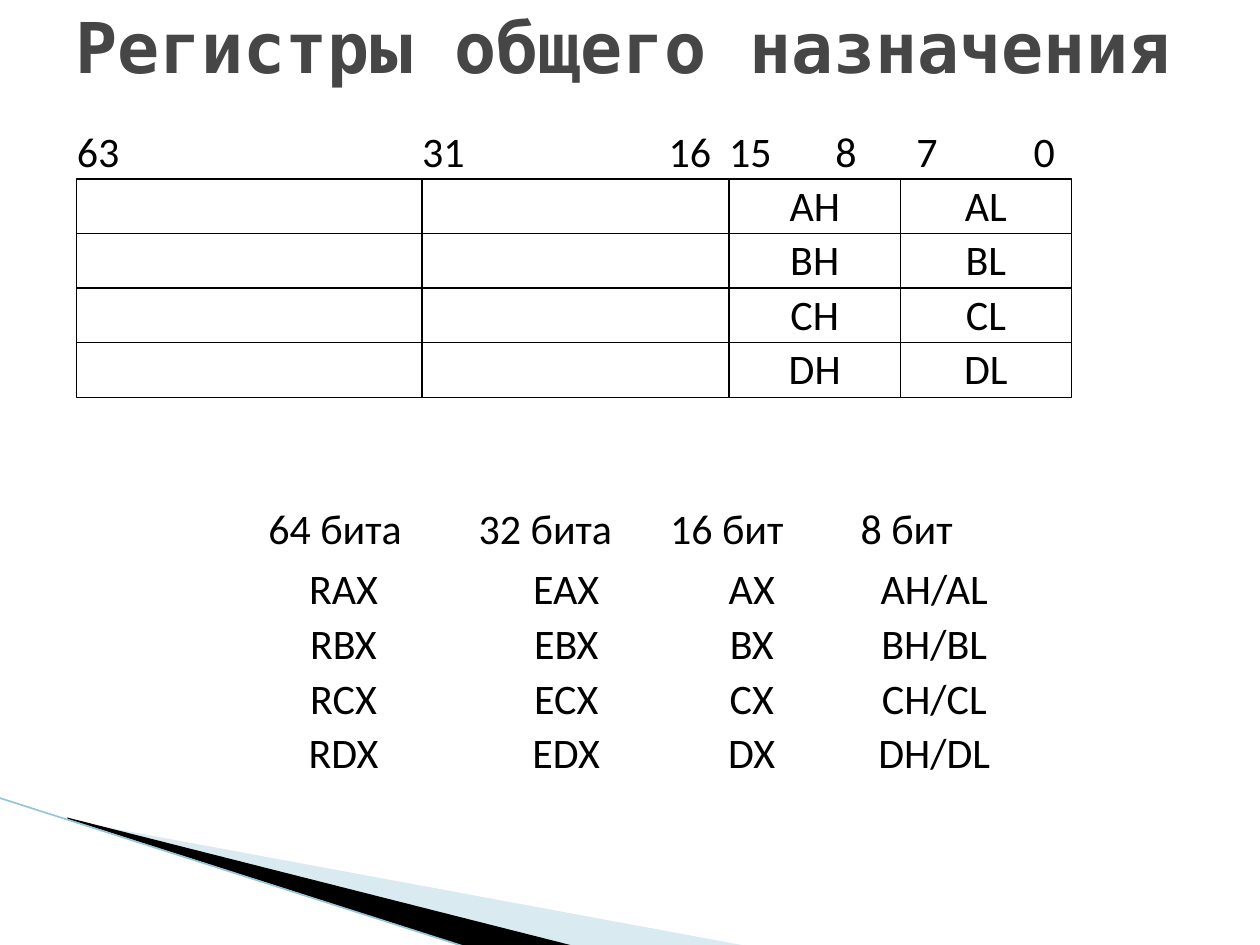
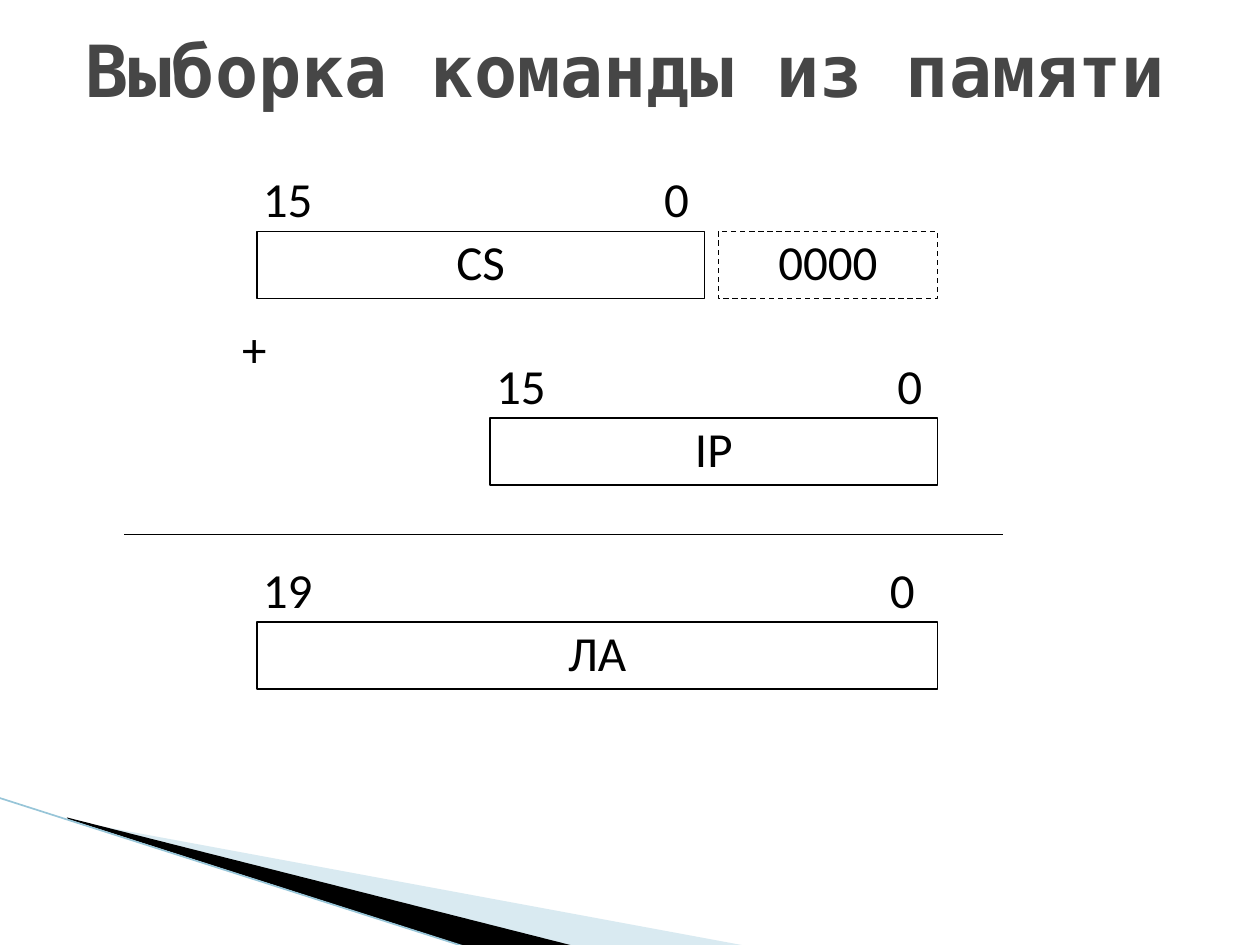
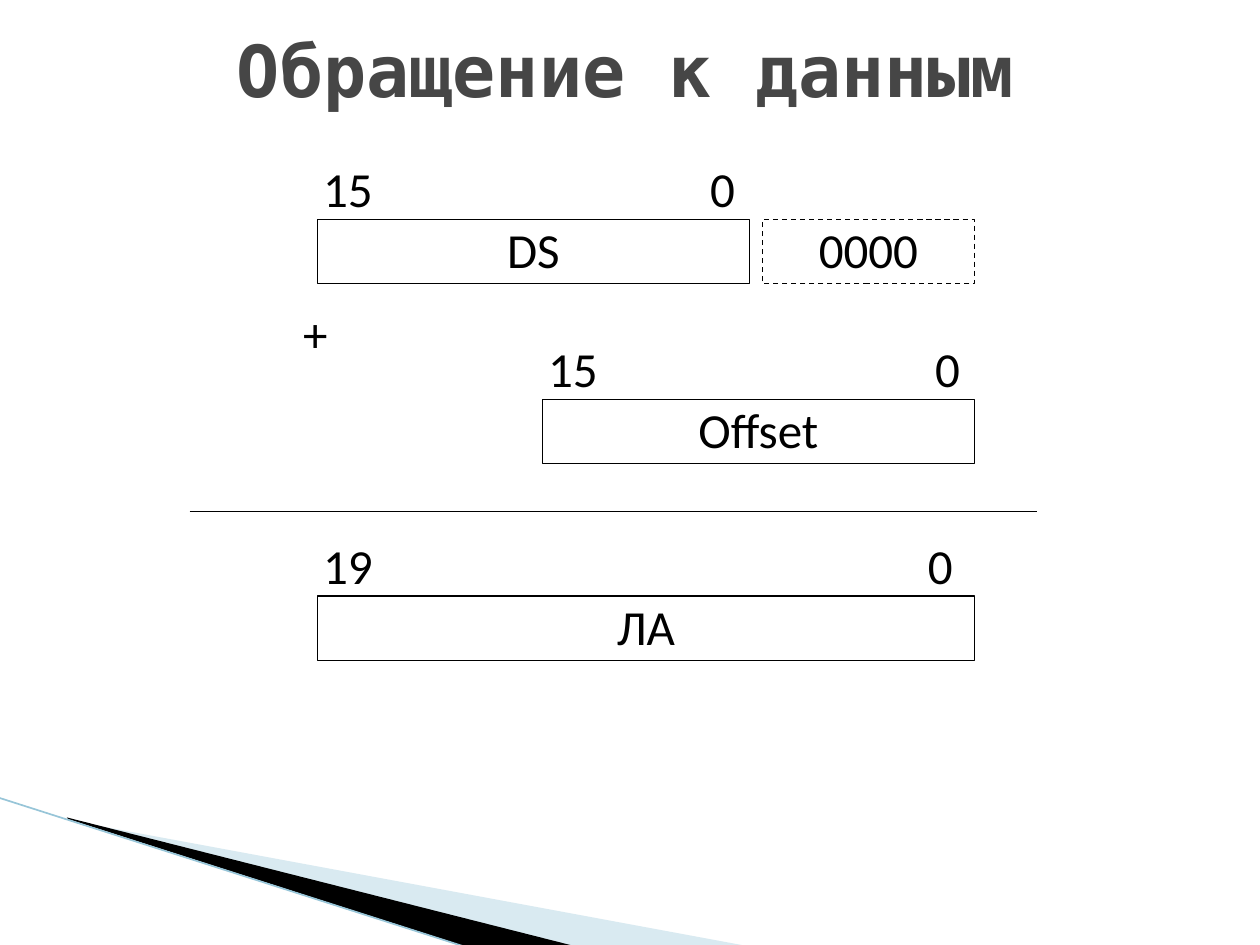
"""Build three slides on processor registers and address calculation."""
from pptx import Presentation
from pptx.dml.color import RGBColor
from pptx.enum.dml import MSO_LINE_DASH_STYLE as Dash
from pptx.enum.shapes import MSO_CONNECTOR as Connector, MSO_SHAPE as Shape
from pptx.enum.text import MSO_ANCHOR as Anchor, MSO_AUTO_SIZE as AutoSize, PP_ALIGN as Align
from pptx.oxml.xmlchemy import OxmlElement
from pptx.util import Cm, Pt

INK, PAPER, TITLE_GREY = "000000", "FFFFFF", "464646"
PALE_BLUE, EDGE_BLUE = "A0CBDC", "97C5D8"
TITLE_FONT, BODY_FONT = "DejaVu Sans Mono", "Calibri"
hex_color = RGBColor.from_string


def add_box(slide, text, left, top, width, height, size, align=Align.CENTER, dash=None):
    """Add a white text rectangle; a dash style gives it an outline."""
    box = slide.shapes.add_shape(Shape.RECTANGLE, Cm(left), Cm(top), Cm(width), Cm(height))
    box.shadow.inherit = False
    box.fill.solid()
    box.fill.fore_color.rgb = hex_color(PAPER)
    if dash:
        box.line.color.rgb = hex_color(INK)
        box.line.width = Pt(0.75)
        box.line.dash_style = dash
    else:
        box.line.fill.background()
    if text:
        frame = box.text_frame
        frame.margin_left = frame.margin_right = frame.margin_top = frame.margin_bottom = 0
        frame.vertical_anchor = Anchor.TOP
        paragraph = frame.paragraphs[0]
        paragraph.text = text
        paragraph.alignment = align
        paragraph.font.size = Pt(size)
        paragraph.font.name = BODY_FONT
        paragraph.font.color.rgb = hex_color(INK)


def add_line(slide, start_x, start_y, end_x, end_y, color, width):
    """Add a straight line without a shadow."""
    line = slide.shapes.add_connector(Connector.STRAIGHT, Cm(start_x), Cm(start_y), Cm(end_x), Cm(end_y))
    line.line.color.rgb = hex_color(color)
    line.line.width = Pt(width)
    line.element.spPr.append(OxmlElement("a:effectLst"))
    return line


presentation = Presentation()
presentation.slide_width, presentation.slide_height = Cm(25.4), Cm(19.05)
layout = presentation.slide_layouts[5]
for placeholder in list(layout.placeholders)[1:]:
    placeholder.element.getparent().remove(placeholder.element)

titles = [
    ("Регистры общего назначения", 40, (0, 0.1, 25.1, 1.63)),
    ("Выборка команды из памяти", 41, (1.19, 0, 22.86, 2.77)),
    ("Обращение к данным", 41, (1.19, 0, 22.86, 2.77)),
]
for text, size, place in titles:
    title = presentation.slides.add_slide(layout).shapes.title
    title.left, title.top, title.width, title.height = [Cm(length) for length in place]
    frame = title.text_frame
    frame.word_wrap = True
    frame.auto_size = AutoSize.NONE
    frame.vertical_anchor = Anchor.MIDDLE
    paragraph = frame.paragraphs[0]
    paragraph.text = text
    paragraph.alignment = Align.CENTER
    paragraph.font.size = Pt(size)
    paragraph.font.name = TITLE_FONT
    paragraph.font.bold = True
    paragraph.font.color.rgb = hex_color(TITLE_GREY)
register_slide, *address_slides = presentation.slides

wedges = [
    (PALE_BLUE, 40, [(1.4, 16.54), (15.11, 19.08), (11.58, 19.08), (1.4, 16.51)]),
    (INK, 100, [(1.35, 16.48), (11.61, 19.08), (9.45, 19.1), (1.37, 16.51)]),
]
for color, opacity, points in wedges:
    start, *corners = [(Cm(x), Cm(y)) for x, y in points]
    builder = register_slide.shapes.build_freeform(*start)
    builder.add_line_segments(corners)
    wedge = builder.convert_to_shape()
    wedge.shadow.inherit = False
    wedge.line.fill.background()
    wedge.fill.solid()
    wedge.fill.fore_color.rgb = hex_color(color)
    if opacity < 100:
        alpha = OxmlElement("a:alpha")
        alpha.set("val", str(opacity * 1000))
        wedge.element.spPr.find(".//{*}srgbClr").append(alpha)
    layout.shapes.element.append(wedge.element)
edge = add_line(register_slide, -0.03, 16.08, 9.42, 19.1, EDGE_BLUE, 0.95)
layout.shapes.element.append(edge.element)

column_edges = [1.55, 8.51, 14.7, 18.15, 21.6]
for row, letter in enumerate("ABCD"):
    names = ["", "", letter + "H", letter + "L"]
    for name, left, right in zip(names, column_edges, column_edges[1:]):
        add_box(register_slide, name, left, 3.61 + 1.1 * row, right - left, 1.1, 24, dash=Dash.SOLID)

bit_labels = [
    ("63", 1.55, Align.LEFT), ("31", 8.51, Align.LEFT), ("16", 13.36, Align.CENTER),
    ("15", 14.7, Align.LEFT), ("8", 16.84, Align.LEFT), ("7", 18.14, Align.CENTER),
    ("0", 20.5, Align.CENTER),
]
for bit, left, align in bit_labels:
    add_box(register_slide, bit, left, 2.54, 1.1, 0.84, 24, align)

name_columns = [
    ("64 бита", 5.41, 5.16, "R{0}X"),
    ("32 бита", 9.65, 9.65, "E{0}X"),
    ("16 бит", 13.51, 13.39, "{0}X"),
    ("8 бит", 17.35, 17.07, "{0}H/{0}L"),
]
for heading, heading_left, name_left, pattern in name_columns:
    add_box(register_slide, heading, heading_left, 10.13, 3.53, 1.47, 24, Align.LEFT)
    for row, letter in enumerate("ABCD"):
        add_box(register_slide, pattern.format(letter), name_left, 11.35 + 1.1 * row, 3.53, 1.47, 24)

diagrams = [("CS", "IP", 5.18, 4.67, 1), ("DS", "Offset", 6.4, 4.42, 0.965)]
for slide, (segment, offset, origin_x, origin_y, scale) in zip(address_slides, diagrams):
    registers = [
        (segment, "15", 0, 0, 9.02, 0),
        (offset, "15", 4.7, 3.76, 9.02, 0),
        ("ЛА", "19", 0, 7.87, 13.72, 0.15),
    ]
    boxes = [
        ("0000", 9.3, 0, 4.42, 1.35, Align.CENTER, Dash.DASH),
        ("+", -0.3, 1.75, 0.69, 1.09, Align.LEFT, None),
    ]
    for name, high_bit, left, top, width, zero_inset in registers:
        zero_left = left + width - 1.12 - zero_inset
        boxes += [
            (name, left, top, width, 1.35, Align.CENTER, Dash.SOLID),
            (high_bit, left + 0.12, top - 1.27, 1.35, 1.09, Align.LEFT, None),
            ("0", zero_left, top - 1.27, 1.12, 1.09, Align.CENTER, None),
        ]
    for text, left, top, width, height, align, dash in boxes:
        add_box(slide, text, origin_x + left * scale, origin_y + top * scale,
                width * scale, height * scale, 28, align, dash)
    sum_y = origin_y + 6.1 * scale
    add_line(slide, origin_x - 2.67 * scale, sum_y, origin_x + 15.04 * scale, sum_y, INK, 0.75)

presentation.save("out.pptx")
